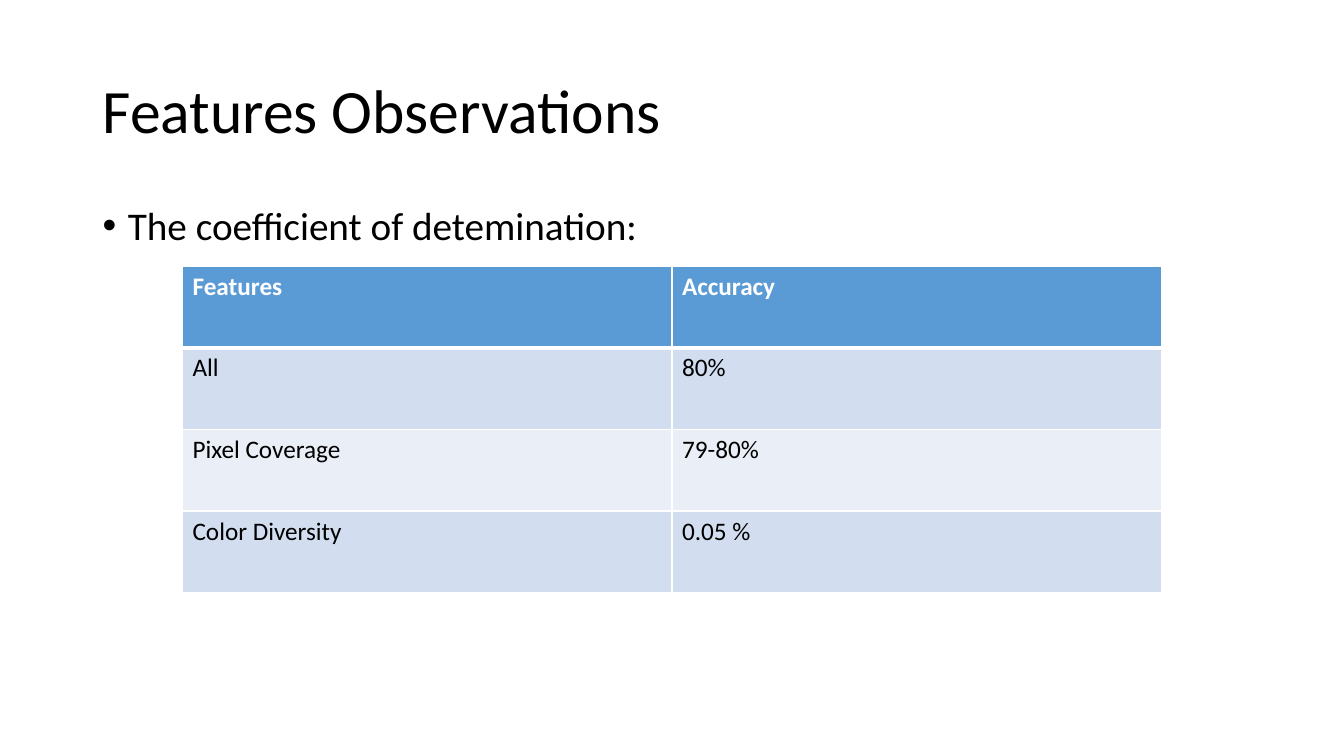
from lxml.etree import SubElement
from pptx import Presentation
from pptx.dml.color import RGBColor
from pptx.enum.text import MSO_ANCHOR
from pptx.oxml.ns import qn
from pptx.util import Inches, Pt

COLORS = {
    "text": "000000",
    "white": "FFFFFF",
    "header": "5B9BD5",
    "odd_row": "D2DEEF",
    "even_row": "EAEFF7",
}

ACCURACY_ROWS = [
    ("Features", "Accuracy"),
    ("All", "80%"),
    ("Pixel Coverage", "79-80%"),
    ("Color Diversity", "0.05 %"),
]


class SlideBuilder:
    def __init__(self, slide, font_name="Calibri"):
        self.slide = slide
        self.font_name = font_name

    def style(self, paragraph, size, color="text", bold=False):
        font = paragraph.font
        font.name = self.font_name
        font.size = Pt(size)
        font.bold = bold
        font.color.rgb = RGBColor.from_string(COLORS[color])

    def text(self, text, left, top, width, height, size, anchor=MSO_ANCHOR.TOP):
        shape = self.slide.shapes.add_textbox(
            Inches(left), Inches(top), Inches(width), Inches(height))
        frame = shape.text_frame
        frame.word_wrap = True
        frame.vertical_anchor = anchor
        paragraph = frame.paragraphs[0]
        paragraph.text = text
        paragraph.line_spacing = 0.9
        self.style(paragraph, size)
        return paragraph

    def bullet(self, text, left, top, width, height, size):
        paragraph = self.text(text, left, top, width, height, size)
        paragraph.space_before = Pt(10)
        properties = paragraph._p.get_or_add_pPr()
        properties.set("marL", str(Inches(0.25)))
        properties.set("indent", str(-Inches(0.25)))
        bullet_font = SubElement(properties, qn("a:buFont"))
        bullet_font.set("typeface", "Arial")
        SubElement(properties, qn("a:buChar")).set("char", "•")
        # Default run properties must follow the bullet
        properties.append(properties.find(qn("a:defRPr")))

    def cell_borders(self, cell, widths):
        properties = cell._tc.get_or_add_tcPr()
        for side, width in widths.items():
            line = SubElement(properties, qn(f"a:ln{side}"), w=str(Pt(width)))
            fill = SubElement(line, qn("a:solidFill"))
            SubElement(fill, qn("a:srgbClr"), val=COLORS["white"])

    def table(self, rows, left, top, width, height, size):
        table = self.slide.shapes.add_table(
            len(rows), len(rows[0]), Inches(left), Inches(top),
            Inches(width), Inches(height)).table
        for row_index, row in enumerate(rows):
            is_header = row_index == 0
            fill = "header" if is_header else "odd_row" if row_index % 2 else "even_row"
            widths = {"L": 1, "R": 1, "T": 3 if row_index == 1 else 1,
                      "B": 3 if is_header else 1}
            for column_index, value in enumerate(row):
                cell = table.cell(row_index, column_index)
                cell.text = value
                self.style(cell.text_frame.paragraphs[0], size,
                           "white" if is_header else "text", is_header)
                self.cell_borders(cell, widths)
                cell.fill.solid()
                cell.fill.fore_color.rgb = RGBColor.from_string(COLORS[fill])


def main():
    presentation = Presentation()
    presentation.slide_width = Inches(13.33)
    presentation.slide_height = Inches(7.5)
    builder = SlideBuilder(
        presentation.slides.add_slide(presentation.slide_layouts[6]))

    # Title and lead-in
    builder.text("Features Observations", 0.92, 0.4, 11.5, 1.45, 44,
                 MSO_ANCHOR.MIDDLE)
    builder.bullet("The coefficient of detemination:", 0.92, 2, 11.5, 4.76, 28)

    # Accuracy by feature
    builder.table(ACCURACY_ROWS, 1.81, 2.64, 9.71, 3.24, 18)

    presentation.save("out.pptx")


if __name__ == "__main__":
    main()
